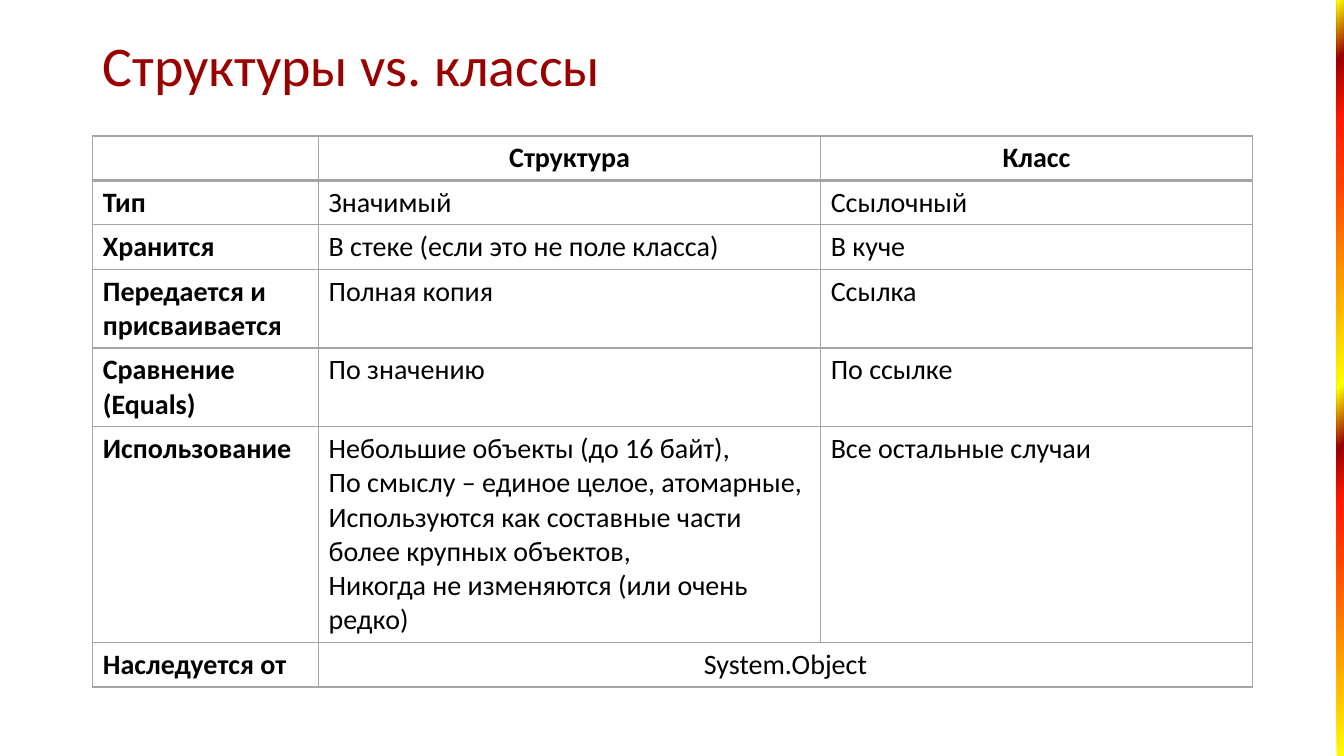
"""Build the slide comparing structures and classes."""
from dataclasses import dataclass

from lxml import etree
from pptx import Presentation
from pptx import util as u
from pptx.dml.color import RGBColor
from pptx.enum import shapes, text
from pptx.oxml import ns

COLORS = {
    "accent": "990000",
    "text": "000000",
    "grid": "A5A5A5",
    "yellow": "FFFF00",
    "orange": "FF3D00",
    "red": "FF1900",
}
FONT = "Calibri"
STRIPE_STOPS = (
    (0, "yellow"), (27, "orange"), (34, "red"), (41, "accent"),
    (49, "yellow"), (76, "orange"), (84, "red"), (92, "accent"), (100, "yellow"),
)
COLUMN_WIDTHS = (2.24, 4.98, 4.28)


@dataclass(frozen=True)
class Comparison:
    """One row: an aspect and what it means for each kind of type."""

    aspect: str
    structure: tuple[str, ...]
    reference: str
    height: float = 0.44


COMPARISONS = (
    Comparison("", ("Структура",), "Класс"),
    Comparison("Тип", ("Значимый",), "Ссылочный"),
    Comparison("Хранится", ("В стеке (если это не поле класса)",), "В куче"),
    Comparison("Передается и присваивается", ("Полная копия",), "Ссылка", 0.78),
    Comparison("Сравнение (Equals)", ("По значению",), "По ссылке", 0.78),
    Comparison(
        "Использование",
        (
            "Небольшие объекты (до 16 байт),",
            "По смыслу – единое целое, атомарные,",
            "Используются как составные части более крупных объектов,",
            "Никогда не изменяются (или очень редко)",
        ),
        "Все остальные случаи",
        2.14,
    ),
    Comparison("Наследуется от", ("System.Object",), ""),
)


def add_run(paragraph, words: str, size: int, color: str, bold: bool = False) -> None:
    """Append one formatted run to a paragraph."""
    run = paragraph.add_run()
    run.text = words
    run.font.name = FONT
    run.font.size = u.Pt(size)
    run.font.bold = bold
    run.font.color.rgb = RGBColor.from_string(COLORS[color])


def add_color(parent, color: str) -> None:
    """Append an RGB colour element."""
    etree.SubElement(parent, ns.qn("a:srgbClr"), val=COLORS[color])


def add_stripe(slide) -> None:
    """Draw the gradient stripe along the right edge."""
    stripe = slide.shapes.add_shape(
        shapes.MSO_SHAPE.RECTANGLE, u.Inches(13.26), 0, u.Inches(0.07), u.Inches(7.5)
    )
    stripe.shadow.inherit = False
    stripe.line.fill.background()
    stripe.fill.gradient()
    gradient = stripe.element.spPr.find(ns.qn("a:gradFill"))
    for child in list(gradient):
        gradient.remove(child)
    stops = etree.SubElement(gradient, ns.qn("a:gsLst"))
    for position, color in STRIPE_STOPS:
        add_color(etree.SubElement(stops, ns.qn("a:gs"), pos=str(position * 1000)), color)
    etree.SubElement(gradient, ns.qn("a:lin"), ang=str(225 * 60000), scaled="0")


def add_title(slide) -> None:
    """Fill and place the title placeholder."""
    title = slide.shapes.title
    title.left, title.top = u.Inches(0.92), u.Inches(0.15)
    title.width, title.height = u.Inches(11.5), u.Inches(1.06)
    frame = title.text_frame
    frame.auto_size = text.MSO_AUTO_SIZE.NONE
    frame.vertical_anchor = text.MSO_ANCHOR.MIDDLE
    heading = frame.paragraphs[0]
    heading.alignment = text.PP_ALIGN.LEFT
    heading.line_spacing = 0.9
    add_run(heading, "Структуры vs. классы", 40, "accent")


def draw_borders(cell, row: int) -> None:
    """Give a cell grey borders, thicker under the header, and no fill."""
    properties = cell._tc.get_or_add_tcPr()
    widths = {"lnL": 1, "lnR": 1, "lnT": 2 if row == 1 else 1, "lnB": 2 if row == 0 else 1}
    for side, width in widths.items():
        border = etree.SubElement(properties, ns.qn(f"a:{side}"), w=str(u.Pt(width)))
        add_color(etree.SubElement(border, ns.qn("a:solidFill")), "grid")
    cell.fill.background()


def fill_cell(cell, lines: tuple[str, ...], bold: bool, centered: bool) -> None:
    """Write one paragraph per line into a cell."""
    frame = cell.text_frame
    for index, line in enumerate(lines):
        paragraph = frame.add_paragraph() if index else frame.paragraphs[0]
        paragraph.alignment = text.PP_ALIGN.CENTER if centered else text.PP_ALIGN.LEFT
        if line:
            add_run(paragraph, line, 20, "text", bold)
        else:
            paragraph.font.size = u.Pt(20)


def add_comparison(slide) -> None:
    """Draw the comparison table."""
    total_height = sum(item.height for item in COMPARISONS)
    comparison = slide.shapes.add_table(
        len(COMPARISONS), len(COLUMN_WIDTHS),
        u.Inches(0.92), u.Inches(1.35), u.Inches(11.5), u.Inches(total_height),
    ).table
    comparison.first_row = comparison.horz_banding = False
    for column, width in zip(comparison.columns, COLUMN_WIDTHS):
        column.width = u.Inches(width)
    last = len(COMPARISONS) - 1
    for row, item in enumerate(COMPARISONS):
        comparison.rows[row].height = u.Inches(item.height)
        contents = ((item.aspect,), item.structure, (item.reference,))
        for column, lines in enumerate(contents):
            cell = comparison.cell(row, column)
            centered = row == 0 or (row == last and column > 0)
            fill_cell(cell, lines, row == 0 or column == 0, centered)
            draw_borders(cell, row)
    comparison.cell(last, 1).merge(comparison.cell(last, 2))


def main() -> None:
    """Create and save the presentation."""
    deck = Presentation()
    deck.slide_width, deck.slide_height = u.Inches(13.33), u.Inches(7.5)
    slide = deck.slides.add_slide(deck.slide_layouts[5])
    add_stripe(slide)
    add_title(slide)
    add_comparison(slide)
    deck.save("out.pptx")


if __name__ == "__main__":
    main()
